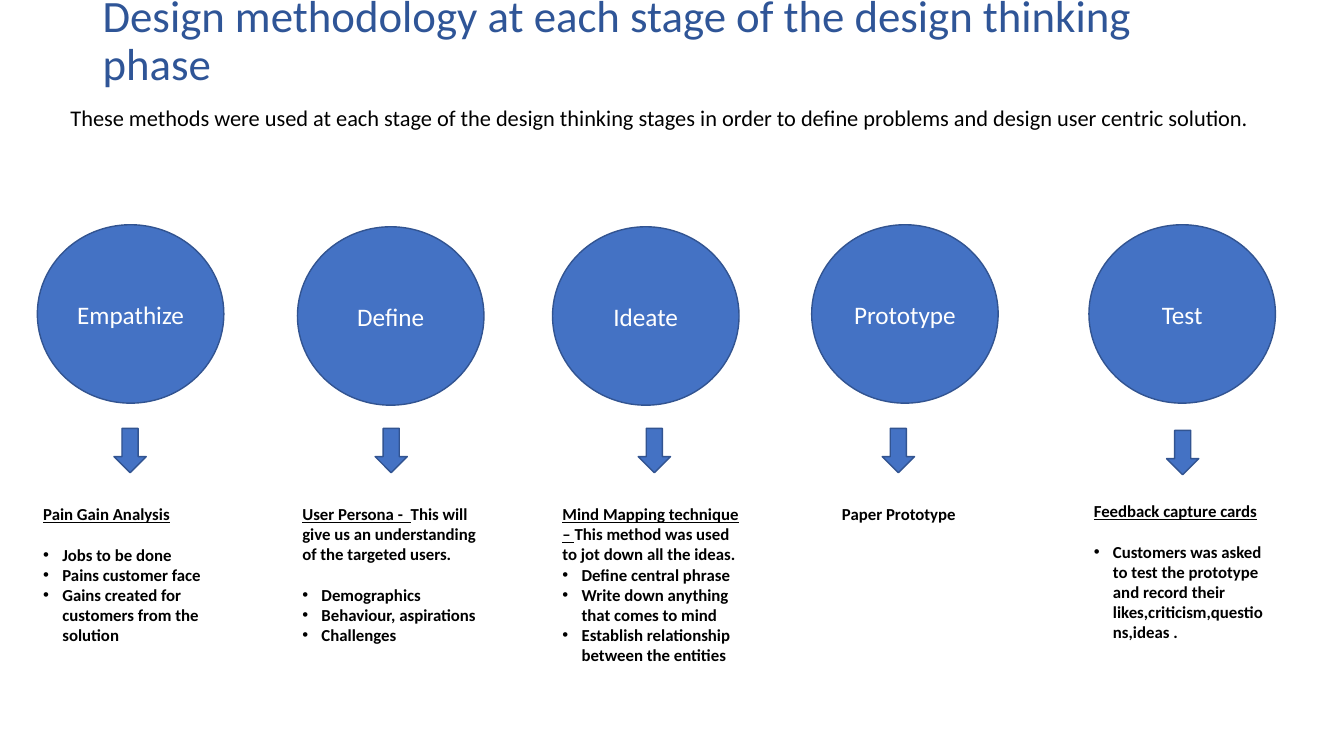
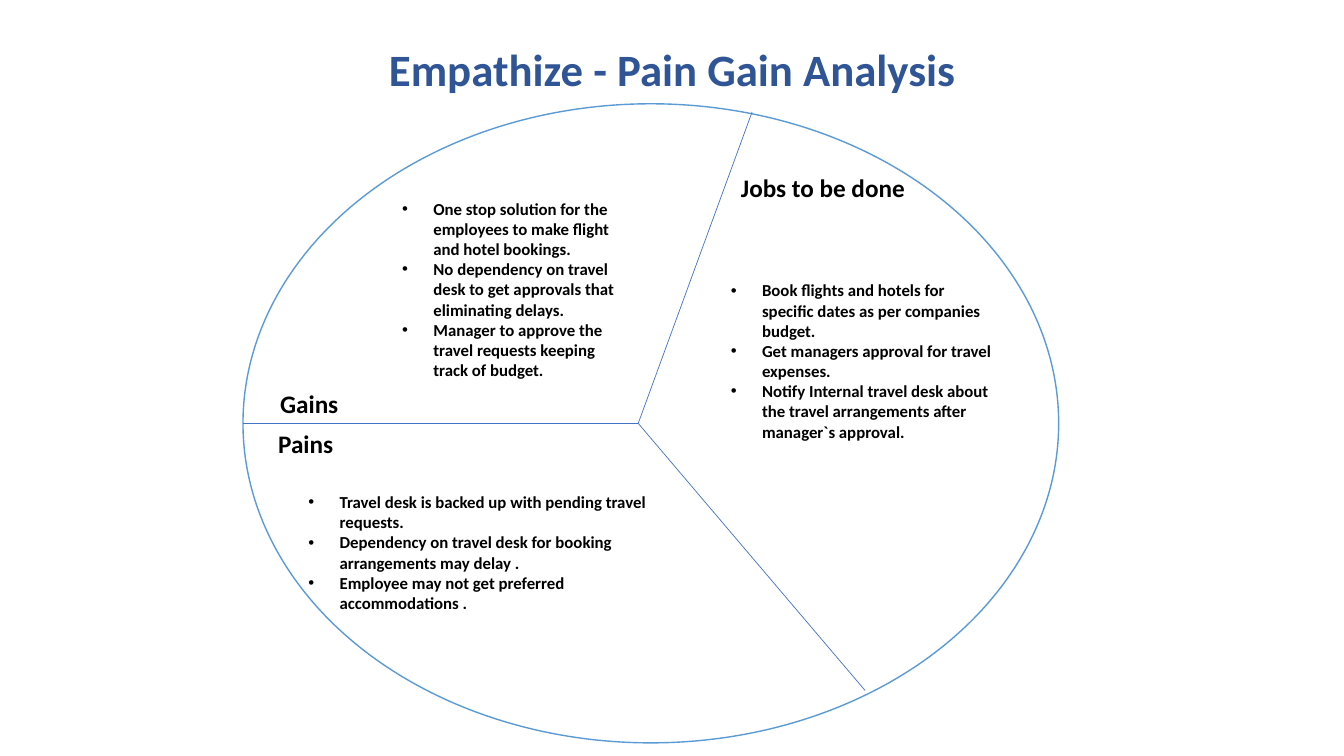
"""Builds two slides on design thinking methods and the pain gain analysis."""
from dataclasses import dataclass

from lxml.etree import SubElement
from pptx import Presentation
from pptx.dml.color import RGBColor
from pptx.enum.shapes import MSO_CONNECTOR, MSO_SHAPE
from pptx.enum.text import MSO_ANCHOR, PP_ALIGN
from pptx.oxml.ns import qn
from pptx.util import Inches, Pt


@dataclass(frozen=True)
class Theme:
    font: str = "Calibri"
    title: RGBColor = RGBColor.from_string("2F5597")
    text: RGBColor = RGBColor.from_string("000000")
    white: RGBColor = RGBColor.from_string("FFFFFF")
    accent: RGBColor = RGBColor.from_string("4472C4")
    edge: RGBColor = RGBColor.from_string("325491")
    ring: RGBColor = RGBColor.from_string("5B9BD5")
    title_size: Pt = Pt(32)
    label_size: Pt = Pt(18)
    intro_size: Pt = Pt(16)
    body_size: Pt = Pt(12)
    gap: Pt = Pt(14.6)


theme = Theme()


def add_text(page, area, paragraphs, size=theme.body_size, color=theme.text, bold=True,
             align=PP_ALIGN.LEFT, anchor=MSO_ANCHOR.TOP, indent=None, gap=None):
    """Each paragraph is a string (a bullet if indent is set) or an (underlined, plain) pair."""
    box = page.shapes.add_textbox(*map(Inches, area))
    frame = box.text_frame
    frame.word_wrap = True
    frame.vertical_anchor = anchor
    first_bullet = True
    for number, content in enumerate(paragraphs):
        para = frame.paragraphs[0] if number == 0 else frame.add_paragraph()
        para.alignment = align
        if isinstance(content, tuple):
            for words, underlined in zip(content, (True, False)):
                if words:
                    span = para.add_run()
                    span.text = words
                    span.font.underline = underlined
        else:
            para.add_run().text = content
            if indent:
                properties = para._p.get_or_add_pPr()
                properties.set("marL", str(Inches(indent)))
                properties.set("indent", str(-Inches(indent)))
                SubElement(properties, qn("a:buFont")).set("typeface", "Arial")
                SubElement(properties, qn("a:buChar")).set("char", "•")
                if first_bullet and gap:
                    para.space_before = gap
                first_bullet = False
        para.font.name = theme.font
        para.font.size = size
        para.font.bold = bold
        para.font.color.rgb = color
    return box


def add_figure(page, kind, area, fill=theme.accent, line=theme.edge):
    figure = page.shapes.add_shape(kind, *map(Inches, area))
    figure.shadow.inherit = False
    figure.fill.solid()
    figure.fill.fore_color.rgb = fill
    figure.line.color.rgb = line
    figure.line.width = Pt(1)
    return figure


deck = Presentation()
deck.slide_width, deck.slide_height = Inches(13.33), Inches(7.5)

titles = [
    ("Design methodology at each stage of the design thinking phase",
     (0.92, 0.12, 11.5, 0.59), False, PP_ALIGN.LEFT),
    ("Empathize - Pain Gain Analysis", (0.92, 0.4, 11.5, 0.63), True, PP_ALIGN.CENTER),
]
pages = []
for title, area, bold, align in titles:
    page = deck.slides.add_slide(deck.slide_layouts[6])
    box = add_text(page, area, [title], theme.title_size, theme.title, bold, align,
                   MSO_ANCHOR.MIDDLE)
    box.text_frame.paragraphs[0].line_spacing = 0.9
    pages.append(page)
stages_page, analysis_page = pages

add_text(stages_page, (0.6, 0.98, 12.41, 0.37),
         ["These methods were used at each stage of the design thinking stages in order to "
          "define problems and design user centric solution."],
         theme.intro_size, bold=False)

stages = [
    ("Empathize", (0.37, 2.23), (1.13, 4.25), (0.33, 4.95, 1.85, 1.82), theme.gap,
     [("Pain Gain Analysis", ""), "Jobs to be done", "Pains customer face",
      "Gains created for customers from the solution"]),
    ("Define", (2.95, 2.25), (3.72, 4.25), (2.9, 4.95, 1.95, 2.36), theme.gap,
     [("User Persona -  ", "This will give us an understanding of the targeted users."),
      "Demographics", "Behaviour, aspirations", "Challenges"]),
    ("Ideate", (5.48, 2.25), (6.33, 4.25), (5.48, 4.95, 1.95, 2.76), None,
     [("Mind Mapping technique – ", "This method was used to jot down all the ideas."),
      "Define central phrase", "Write down anything that comes to mind",
      "Establish relationship between the entities"]),
    ("Prototype", (8.05, 2.23), (8.75, 4.25), (7.94, 4.95, 1.95, 0.94), None,
     [("", "Paper Prototype")]),
    ("Test", (10.8, 2.23), (11.57, 4.27), (10.75, 4.92, 1.95, 2.15), theme.gap,
     [("Feedback capture cards", ""),
      "Customers was asked to test the prototype and record their "
      "likes,criticism,questions,ideas ."]),
]
for stage, circle_corner, arrow_corner, notes_area, gap, notes in stages:
    circle = add_figure(stages_page, MSO_SHAPE.OVAL, (*circle_corner, 1.85, 1.77))
    circle.text_frame.vertical_anchor = MSO_ANCHOR.MIDDLE
    para = circle.text_frame.paragraphs[0]
    para.text = stage
    para.alignment = PP_ALIGN.CENTER
    para.font.name = theme.font
    para.font.size = theme.label_size
    para.font.color.rgb = theme.white
    add_figure(stages_page, MSO_SHAPE.DOWN_ARROW, (*arrow_corner, 0.32, 0.44))
    notes_align = PP_ALIGN.CENTER if len(notes) == 1 else PP_ALIGN.LEFT
    add_text(stages_page, notes_area, notes, align=notes_align, indent=0.19, gap=gap)

add_figure(analysis_page, MSO_SHAPE.OVAL, (2.41, 1.03, 8.09, 6.34), theme.white, theme.ring)

hub = (6.33, 4.2)
for rim in [(7.46, 1.11), (2.41, 4.2), (8.58, 6.85)]:
    divider = analysis_page.shapes.add_connector(MSO_CONNECTOR.STRAIGHT,
                                                 *map(Inches, (*hub, *rim)))
    divider.line.color.rgb = theme.accent
    divider.line.width = Pt(0.5)
    SubElement(divider._element.spPr, qn("a:effectLst"))

sectors = [
    ("Gains", (2.68, 3.8, 0.85, 0.4), (3.89, 1.92, 2.35, 1.92),
     ["One stop solution for the employees to make flight and hotel bookings.",
      "No dependency on travel desk to get approvals that eliminating delays.",
      "Manager to approve the travel requests keeping track of budget."]),
    ("Pains", (2.66, 4.2, 0.85, 0.4), (2.96, 4.83, 3.88, 1.51),
     ["Travel desk is backed up with pending travel requests.",
      "Dependency on travel desk for booking arrangements may delay .",
      "Employee may not get preferred accommodations ."]),
    ("Jobs to be done", (7.25, 1.66, 1.99, 0.4), (7.15, 2.73, 2.82, 1.92),
     ["Book flights and hotels for specific dates as per companies budget.",
      "Get managers approval for travel expenses.",
      "Notify Internal travel desk about the travel arrangements after manager`s approval."]),
]
for label, label_area, points_area, points in sectors:
    add_text(analysis_page, label_area, [label], theme.label_size)
    add_text(analysis_page, points_area, points, indent=0.31)

deck.save("out.pptx")
